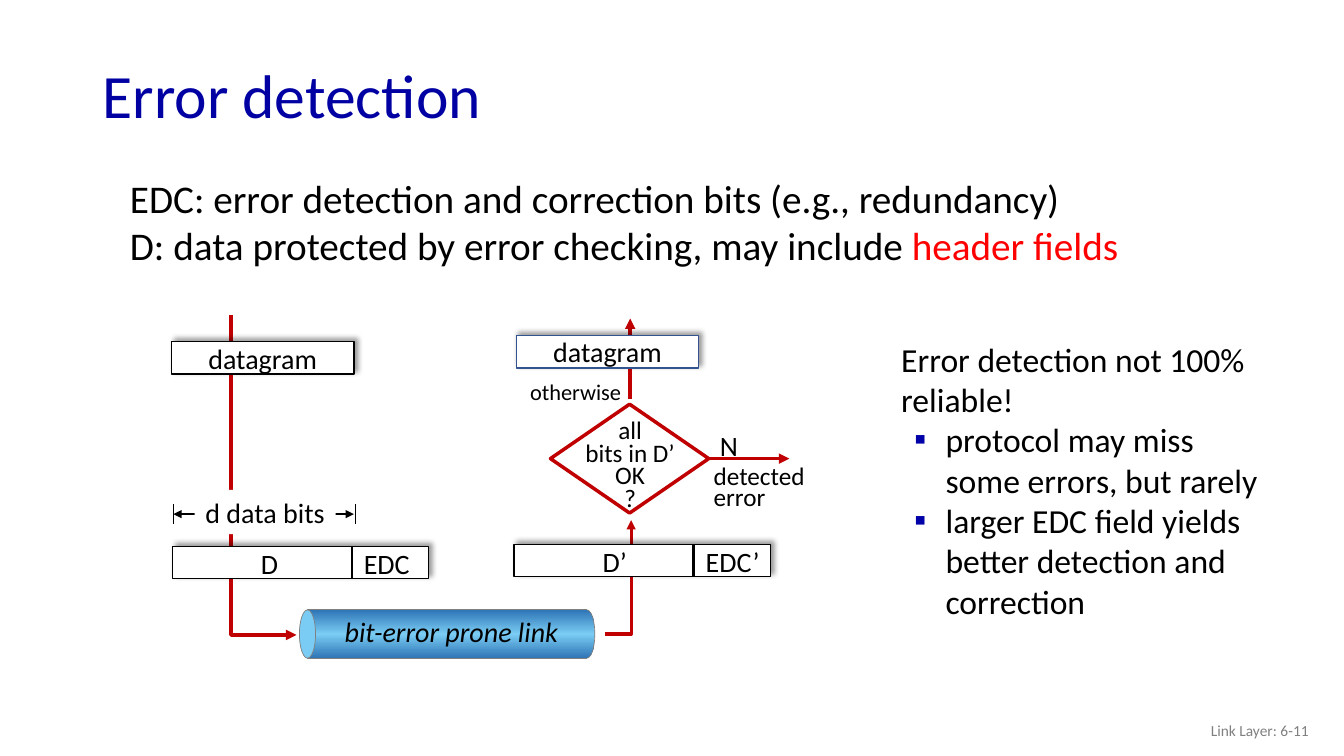
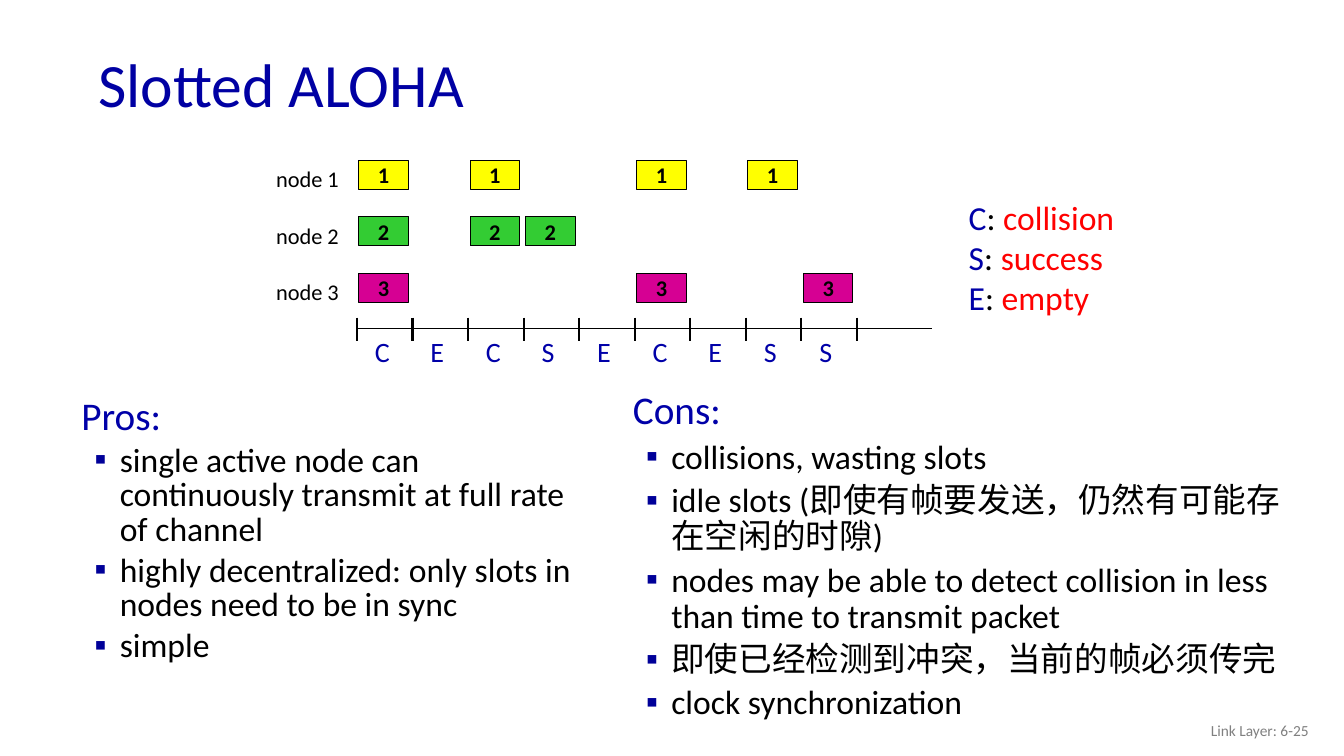
import copy

import pptx
import pptx.dml.color
import pptx.enum.shapes
import pptx.enum.text
import pptx.oxml
import pptx.oxml.ns
import pptx.util

PX = 9144  # EMU in one px, 100 px to the inch
KIND = pptx.enum.shapes.MSO_SHAPE
ALIGN = pptx.enum.text.PP_ALIGN
MIDDLE = pptx.enum.text.MSO_ANCHOR.MIDDLE
Pt = pptx.util.Pt
qn = pptx.oxml.ns.qn
NS = 'xmlns:a="http://schemas.openxmlformats.org/drawingml/2006/main"'


class Theme:
    font, cjk = "Calibri", "Noto Sans CJK SC"
    black, white, grey, red = "000000", "FFFFFF", "808080", "FF0000"
    title, blue, bullet = "0000A3", "0000A8", "000099"
    flow, frame = "C00000", "325491"
    pipe, pipe_edge = "7ACCF4", "2E75B6"
    nodes = ("FFFF00", "33CC33", "D60093")
    title_size, lead_size, body_size, label_size = 44, 28, 24, 20
    note_size, node_size, footer_size = 18, 16, 11


FIT = dict(word_wrap=False, auto_size=pptx.enum.text.MSO_AUTO_SIZE.SHAPE_TO_FIT_TEXT)
INSIDE = dict(word_wrap=False, vertical_anchor=MIDDLE, margin_left=0,
              margin_right=0, margin_top=0, margin_bottom=0)
CENTER = dict(alignment=ALIGN.CENTER)


def draw(s, kind, at, fill=None, line=None, width=1, ends=(), shadow=False):
    """Add a text box, line, path or preset shape, with lengths in px."""
    if kind == "path":
        builder = s.shapes.build_freeform(*at[0], scale=PX)
        builder.add_line_segments(at[1:], close=False)
        sp = builder.convert_to_shape()
    else:
        box = [round(v * PX) for v in at]
        if kind == "text":
            return s.shapes.add_textbox(*box)
        if kind == "line":
            sp = s.shapes.add_connector(pptx.enum.shapes.MSO_CONNECTOR.STRAIGHT, *box)
        else:
            sp = s.shapes.add_shape(kind, *box)

    if line:
        sp.line.color.rgb = pptx.dml.color.RGBColor.from_string(line)
        sp.line.width = Pt(width)
    else:
        sp.line.fill.background()
    for end in ends:
        sp.element.spPr.find(qn("a:ln")).append(
            pptx.oxml.parse_xml(f'<a:{end} {NS} type="triangle"/>'))

    if kind == "line":
        sp.element.spPr.append(pptx.oxml.parse_xml(f"<a:effectLst {NS}/>"))
        return sp
    sp.shadow.inherit = False
    if shadow:
        sp.element.spPr.find(qn("a:effectLst")).append(pptx.oxml.parse_xml(
            f'<a:outerShdw {NS} blurRad="{Pt(4)}" dist="{Pt(3)}" dir="18900000">'
            f'<a:srgbClr val="{Theme.black}"><a:alpha val="40000"/></a:srgbClr>'
            '</a:outerShdw>'))
    if isinstance(fill, tuple):
        sp.fill.gradient()
        sp.fill.gradient_angle = 90
        stops = sp.element.spPr.find(qn("a:gradFill")).find(qn("a:gsLst"))
        stops.append(copy.deepcopy(stops[0]))
        for stop, position, color in zip(sp.fill.gradient_stops, (0, 0.5, 1), fill):
            stop.position = position
            stop.color.rgb = pptx.dml.color.RGBColor.from_string(color)
    elif fill:
        sp.fill.solid()
        sp.fill.fore_color.rgb = pptx.dml.color.RGBColor.from_string(fill)
    else:
        sp.fill.background()
    return sp


def write(sp, lines, size, color=Theme.black, frame=None, para=None, font=None,
          bullets=(), hang=(38, 25), mark=Theme.bullet):
    """Fill a shape with plain lines, then bulleted ones; a line is text or (text, colour) runs."""
    tf = sp.text_frame
    for name, value in (frame or dict(word_wrap=True)).items():
        setattr(tf, name, value)
    for i, line in enumerate([*lines, *bullets]):
        p = tf.paragraphs[0] if i == 0 else tf.add_paragraph()
        for name, value in (para or {}).items():
            setattr(p, name, value)
        bulleted = i >= len(lines)
        run_size, run_color = (Theme.body_size, Theme.black) if bulleted else (size, color)
        if bulleted:
            pPr = p._p.get_or_add_pPr()
            pPr.set("marL", str(hang[0] * PX))
            pPr.set("indent", str(-hang[1] * PX))
            for xml in (f'<a:buClr {NS}><a:srgbClr val="{mark}"/></a:buClr>',
                        f'<a:buFont {NS} typeface="{Theme.font}"/>',
                        f'<a:buChar {NS} char="▪"/>'):
                pPr.append(pptx.oxml.parse_xml(xml))
        for text, tint in [(line, run_color)] if isinstance(line, str) else line:
            r = p.add_run()
            r.text = text
            for name, value in dict(name=Theme.font, size=Pt(run_size), **(font or {})).items():
                setattr(r.font, name, value)
            r.font.color.rgb = pptx.dml.color.RGBColor.from_string(tint)
            r._r.get_or_add_rPr().append(
                pptx.oxml.parse_xml(f'<a:ea {NS} typeface="{Theme.cjk}"/>'))
    return sp


prs = pptx.Presentation()
prs.slide_width, prs.slide_height = 1333 * PX, 750 * PX

# Titles and footers
slides = []
for title, left, top, number in (("Error detection", 92, 49, 11), ("Slotted ALOHA", 88, 38, 25)):
    s = prs.slides.add_slide(prs.slide_layouts[6])
    slides.append(s)
    middle = dict(word_wrap=True, vertical_anchor=MIDDLE)
    write(draw(s, "text", (left, top, 1150, 98)), [title], Theme.title_size, Theme.title,
          middle, dict(line_spacing=0.9))
    write(draw(s, "text", (1008, 705, 300, 40)), [f"Link Layer: 6-{number}"],
          Theme.footer_size, Theme.grey, middle, dict(alignment=ALIGN.RIGHT))

# Slide 1: definitions and remarks
s = slides[0]
write(draw(s, "text", (119, 168, 1079, 104)),
      ["EDC: error detection and correction bits (e.g., redundancy)",
       [("D: data protected by error checking, may include ", Theme.black),
        ("header fields", Theme.red)]], Theme.lead_size)
write(draw(s, "text", (884, 331, 377, 293)), ["Error detection not 100% reliable!"],
      Theme.body_size, hang=(44, 31), mark=Theme.blue,
      bullets=["protocol may miss some errors, but rarely",
               "larger EDC field yields better detection and correction"])

# Red flow, behind the boxes
for points, width in (([(229, 313), (229, 630), (294, 630)], 2.5),
                      ([(600, 629), (626, 629), (626, 516)], 2.25)):
    draw(s, "path", points, line=Theme.flow, width=width, ends=["tailEnd"])
draw(s, "line", (625, 396, 625, 316), line=Theme.flow, width=2.5, ends=["tailEnd"])

# Datagrams
for left, top, edge in ((170, 339, Theme.black), (512, 333, Theme.frame)):
    sp = draw(s, KIND.RECTANGLE, (left, top, 181, 32), Theme.white, edge, shadow=True)
    write(sp, ["datagram"], Theme.label_size, frame=INSIDE, para=CENTER)

# Frames of data and check bits
for left, top, data, check, data_left, check_left in (
        (171, 542, "D", "EDC", 249, 351), (510, 540, "D’", "EDC’", 588, 690)):
    draw(s, KIND.RECTANGLE, (left, top, 254, 32), Theme.white, Theme.black, shadow=True)
    draw(s, "line", (left + 178, top, left + 178, top + 32), line=Theme.black, width=1.75)
    for label, x, w in ((data, data_left, 30 + 7 * len(data)),
                        (check, check_left, 42 + 8 * len(check))):
        write(draw(s, "text", (x, top - 5, w, 44)), [label], Theme.label_size, frame=FIT)

# Width of the data part
draw(s, "line", (172, 510, 351, 510), line=Theme.black, width=1.75, ends=["headEnd", "tailEnd"])
sp = draw(s, KIND.RECTANGLE, (193, 486, 140, 44), Theme.white)
write(sp, ["d data bits"], Theme.label_size, frame=INSIDE, para=CENTER)
for x in (172, 352):
    draw(s, "line", (x, 500, x, 520), line=Theme.black, width=0.5)

# Link
shade = (Theme.pipe_edge, Theme.pipe, Theme.pipe_edge)
for kind, left, width, fill, edge in ((KIND.RECTANGLE, 305, 277, shade, Theme.grey),
                                      (KIND.OVAL, 297, 16, Theme.pipe, Theme.grey),
                                      (KIND.OVAL, 574, 16, shade, Theme.grey),
                                      (KIND.RECTANGLE, 553, 29, shade, None)):
    draw(s, kind, (left, 605, width, 48), fill, edge, 0.5)
write(draw(s, "text", (332, 605, 234, 44)), ["bit-error prone link"], Theme.label_size,
      frame=FIT, font=dict(italic=True))

# Check at the receiver
check = draw(s, KIND.DIAMOND, (546, 401, 157, 108), Theme.white, Theme.flow, 2.5)
write(draw(s, "text", (570, 413, 110, 102)), ["all", "bits in D’", "OK", "?"],
      Theme.note_size, frame=FIT, para=dict(line_spacing=0.75, **CENTER))
arrow = draw(s, "line", (703, 455, 783, 455), line=Theme.flow, width=2.5, ends=["tailEnd"])
arrow.begin_connect(check, 3)
write(draw(s, "text", (704, 420, 38, 44)), ["N"], Theme.label_size, frame=FIT)
for at, lines, size in (((698, 460, 117, 54), ["detected", "error"], Theme.note_size),
                        ((516, 378, 112, 30), ["otherwise"], Theme.node_size)):
    write(draw(s, "text", at), lines, size, para=dict(line_spacing=0.7))

# Slide 2: node rows, one box for each slot a node sends in
s = slides[1]
outcomes = "CECSECESS"
ticks = [354 + (850 - 354) * i / len(outcomes) for i in range(len(outcomes) + 1)]
for row, (fill, slots) in enumerate(zip(Theme.nodes, ((0, 2, 5, 7), (0, 2, 3), (0, 5, 8)))):
    top = 159 + 56 * row
    write(draw(s, "text", (264, top, 83, 37)), [f"node {row + 1}"], Theme.node_size, frame=FIT)
    for slot in slots:
        sp = draw(s, KIND.RECTANGLE, (ticks[slot] + 2, top, 49, 29), fill, Theme.black, 0.75)
        write(sp, [str(row + 1)], Theme.node_size, frame=INSIDE, para=CENTER,
              font=dict(bold=True))

# Time axis
draw(s, "line", (354, 326, 924, 326), line=Theme.black, width=0.75)
for x in ticks:
    draw(s, "line", (x, 315, x, 338), line=Theme.black, width=1.5)
for x, outcome in zip(ticks, outcomes):
    write(draw(s, "text", (x + 8, 327, 34, 44)), [outcome], Theme.label_size, Theme.blue, FIT)

# Legend
write(draw(s, "text", (951, 190, 166, 131)),
      [[(word[0].upper(), Theme.blue), (": ", Theme.black), (word, Theme.red)]
       for word in ("collision", "success", "empty")], Theme.body_size, frame=FIT)

# Pros and cons
for at, spacing, heading, points in (
        ((71, 390, 530, 350), 0.85, "Pros:",
         ["single active node can continuously transmit at full rate of channel",
          "highly decentralized: only slots in nodes need to be in sync",
          "simple"]),
        ((618, 383, 680, 300), 0.9, "Cons:",
         ["collisions, wasting slots",
          "idle slots (即使有帧要发送，仍然有可能存在空闲的时隙)",
          "nodes may be able to detect collision in less than time to transmit packet",
          "即使已经检测到冲突，当前的帧必须传完",
          "clock synchronization"])):
    write(draw(s, "text", at), [heading], Theme.lead_size, Theme.blue,
          para=dict(line_spacing=spacing, space_before=Pt(5)), bullets=points)

prs.save("out.pptx")
